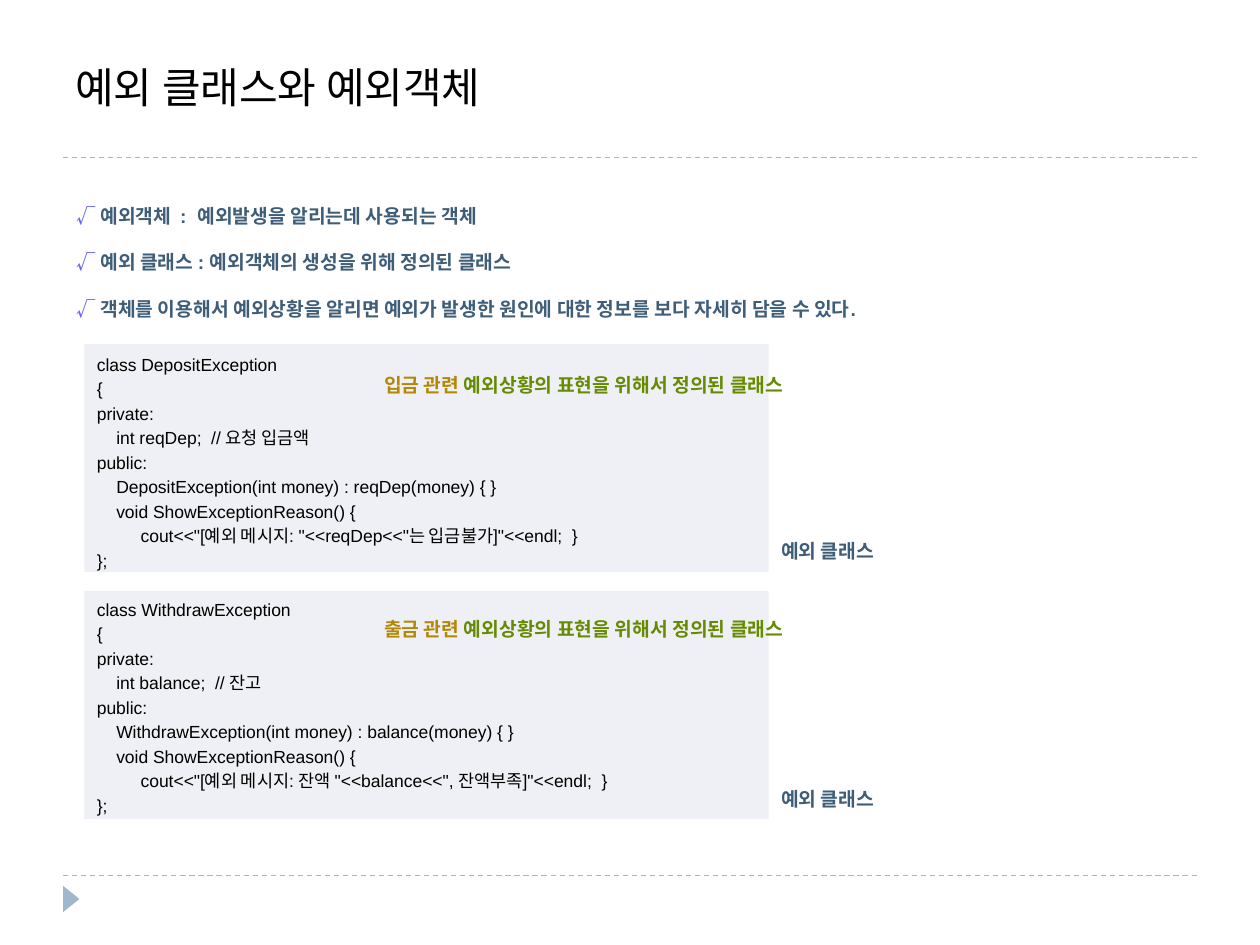
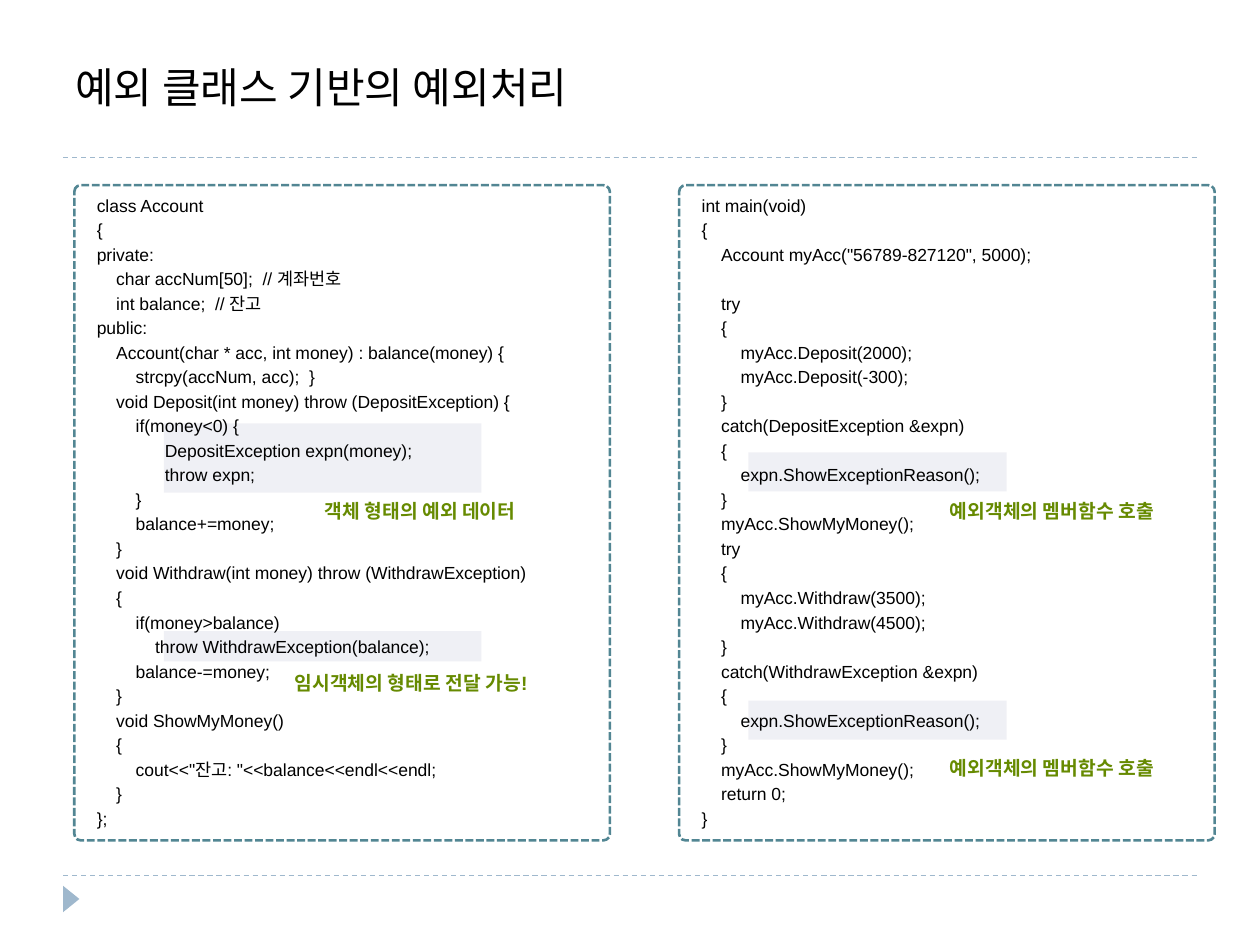
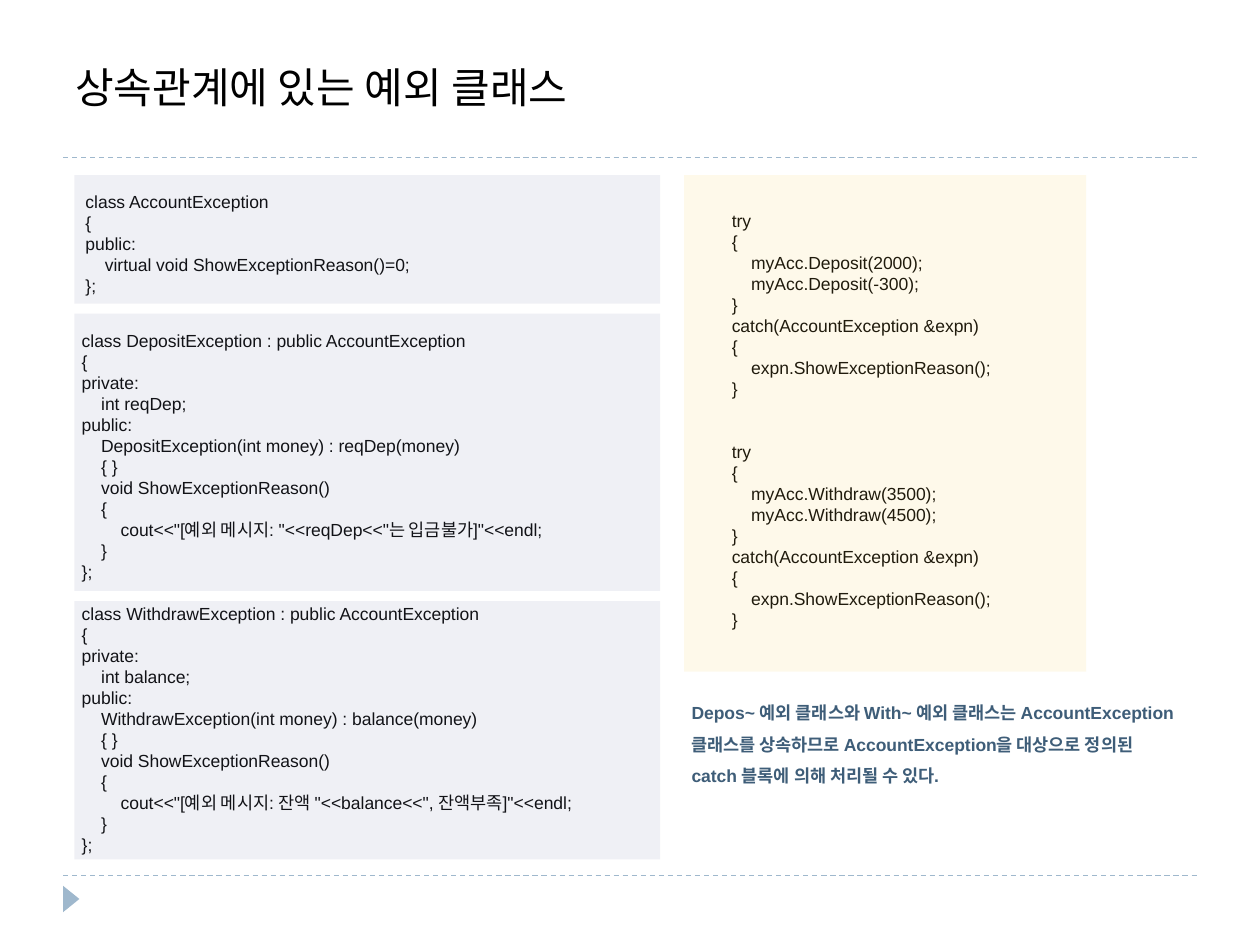
"""Build three slides on exception classes in C++."""
from lxml import etree
from pptx import Presentation
from pptx import util as u
from pptx.dml.color import RGBColor
from pptx.enum import dml, shapes, text
from pptx.oxml.ns import qn

BLACK, NAVY, GREEN, GOLD, VIOLET = "000000", "3E5D78", "668A00", "B38807", "6666FF"
RULE, FRAME, LAVENDER, CREAM = "9FB8CD", "528693", "8A91B4", "F9D263"
FONT = "Arial"
SPACE_WIDTH = 2.78

EXCEPTION_CLASSES = """\
class DepositException
{
private:
    int reqDep;  // 요청 입금액
public:
    DepositException(int money) : reqDep(money) { }
    void ShowExceptionReason() {
         cout<<"[예외 메시지: "<<reqDep<<"는 입금불가]"<<endl;  }
};

class WithdrawException
{
private:
    int balance;  // 잔고
public:
    WithdrawException(int money) : balance(money) { }
    void ShowExceptionReason() {
         cout<<"[예외 메시지: 잔액 "<<balance<<", 잔액부족]"<<endl;  }
};"""

ACCOUNT_CLASS = """\
class Account
{
private:
    char accNum[50];  // 계좌번호
    int balance;  // 잔고
public:
    Account(char * acc, int money) : balance(money) {
        strcpy(accNum, acc);  }
    void Deposit(int money) throw (DepositException) {
        if(money<0) {
              DepositException expn(money);
              throw expn;
        }
        balance+=money;
    }
    void Withdraw(int money) throw (WithdrawException)
    {
        if(money>balance)
            throw WithdrawException(balance);
        balance-=money;
    }
    void ShowMyMoney()
    {
        cout<<"잔고: "<<balance<<endl<<endl;
    }
};"""

MAIN_FUNCTION = """\
int main(void)
{
    Account myAcc("56789-827120", 5000);

    try
    {
        myAcc.Deposit(2000);
        myAcc.Deposit(-300);
    }
    catch(DepositException &expn)
    {
        expn.ShowExceptionReason();
    }
    myAcc.ShowMyMoney();
    try
    {
        myAcc.Withdraw(3500);
        myAcc.Withdraw(4500);
    }
    catch(WithdrawException &expn)
    {
        expn.ShowExceptionReason();
    }
    myAcc.ShowMyMoney();
    return 0;
}"""

BASE_CLASS = """\
class AccountException
{
public:
    virtual void ShowExceptionReason()=0;
};"""

DERIVED_CLASS = """\
class NAME : public AccountException
{
private:
    int FIELD;
public:
    NAME(int money) : FIELD(money)
    { }
    void ShowExceptionReason()
    {
        cout<<"[예외 메시지: REASON]"<<endl;
    }
};"""

TRY_BLOCK = """\
try
{
    myAcc.CALL(FIRST);
    myAcc.CALL(SECOND);
}
catch(AccountException &expn)
{
    expn.ShowExceptionReason();
}"""


def rgb(value):
    """Turn a hex string into a colour."""
    return RGBColor.from_string(value)


def fill_in(template, **values):
    """Replace each capitalised word of a code template."""
    for word, value in values.items():
        template = template.replace(word, value)
    return template


class Deck:
    """Hold the presentation, its style and the current slide."""

    def __init__(self):
        """Start an empty 4:3 presentation."""
        self.prs = Presentation()
        self.prs.slide_width, self.prs.slide_height = u.Inches(10), u.Inches(7.5)
        self.slide = None

    def page(self, title):
        """Add a slide with its title, rules and corner marker."""
        self.slide = self.prs.slides.add_slide(self.prs.slide_layouts[6])
        for y in (6.95, 1.25):
            self.rule(y)
        marker = self.shape(shapes.MSO_SHAPE.ISOSCELES_TRIANGLE, 0.46, 7.07, 0.21, 0.13)
        marker.rotation = 90
        marker.fill.solid()
        marker.fill.fore_color.rgb = rgb(RULE)
        marker.line.fill.background()
        heading = self.label(0.5, 0.17, 9, 0.77, [[(title, BLACK)]], size=24, bold=False)
        heading.vertical_anchor = text.MSO_ANCHOR.BOTTOM

    def rule(self, y):
        """Draw a dashed line across the slide."""
        rule = self.slide.shapes.add_connector(
            shapes.MSO_CONNECTOR.STRAIGHT, u.Inches(0.5), u.Inches(y), u.Inches(9.5), u.Inches(y))
        rule.line.color.rgb = rgb(RULE)
        rule.line.width = u.Pt(0.75)
        rule.line.dash_style = dml.MSO_LINE.DASH
        etree.SubElement(rule._element.spPr, qn("a:effectLst"))

    def shape(self, kind, x, y, width, height):
        """Add a preset shape without shadow."""
        shape = self.slide.shapes.add_shape(
            kind, u.Inches(x), u.Inches(y), u.Inches(width), u.Inches(height))
        shape.shadow.inherit = False
        return shape

    def tint(self, x, y, width, height, color=LAVENDER):
        """Add a see-through coloured panel."""
        panel = self.shape(shapes.MSO_SHAPE.RECTANGLE, x, y, width, height)
        panel.fill.solid()
        panel.fill.fore_color.rgb = rgb(color)
        panel.line.fill.background()
        tone = panel._element.spPr.find(qn("a:solidFill"))[0]
        etree.SubElement(tone, qn("a:alpha")).set("val", "13000")

    def frame(self, x, y, width, height):
        """Add a dashed frame with slightly rounded corners."""
        frame = self.shape(shapes.MSO_SHAPE.ROUNDED_RECTANGLE, x, y, width, height)
        frame.adjustments[0] = 0.012
        frame.fill.background()
        frame.line.color.rgb = rgb(FRAME)
        frame.line.width = u.Pt(1.5)
        frame.line.dash_style = dml.MSO_LINE.SQUARE_DOT

    def box(self, x, y, width, height):
        """Add a wrapping text box and return its text frame."""
        box = self.slide.shapes.add_textbox(
            u.Inches(x), u.Inches(y), u.Inches(width), u.Inches(height)).text_frame
        box.word_wrap = True
        return box

    def paragraph(self, box, index, size, bold, spacing):
        """Return a styled paragraph of a text frame."""
        paragraph = box.add_paragraph() if index else box.paragraphs[0]
        paragraph.font.name, paragraph.font.size, paragraph.font.bold = FONT, u.Pt(size), bold
        paragraph.line_spacing = spacing
        return paragraph

    def label(self, x, y, width, height, lines, size=11, bold=True, spacing=1.0):
        """Write lines, each a list of (words, colour) pieces."""
        box = self.box(x, y, width, height)
        for index, pieces in enumerate(lines):
            paragraph = self.paragraph(box, index, size, bold, spacing)
            for words, color in pieces:
                run = paragraph.add_run()
                run.text = words
                run.font.color.rgb = rgb(color)
        return box

    def code(self, x, y, width, height, source, pitch=14):
        """Write source code, turning indentation and empty lines into spacing."""
        box = self.box(x, y, width, height)
        index = gap = 0
        for line in source.splitlines():
            statement = line.lstrip()
            if not statement:
                gap += pitch
                continue
            paragraph = self.paragraph(box, index, 10, False, u.Pt(pitch))
            paragraph.text = statement
            paragraph.font.color.rgb = rgb(BLACK)
            paragraph.space_before = u.Pt(gap)
            indent = (len(line) - len(statement)) * SPACE_WIDTH
            properties = paragraph._p.get_or_add_pPr()
            properties.set("marL", str(int(u.Pt(indent))))
            properties.set("indent", "0")
            index, gap = index + 1, 0


def exception_classes(deck):
    """Build the slide that defines exception classes."""
    deck.page("예외 클래스와 예외객체")
    points = ("예외객체  :  예외발생을 알리는데 사용되는 객체",
              "예외 클래스 : 예외객체의 생성을 위해 정의된 클래스",
              "객체를 이용해서 예외상황을 알리면 예외가 발생한 원인에 대한 정보를 보다 자세히 담을 수 있다.")
    deck.label(0.51, 1.39, 7.64, 1.21,
               [[("√ ", VIOLET), (point, NAVY)] for point in points], spacing=2.0)
    for y in (2.73, 4.69):
        deck.tint(0.67, y, 5.43, 1.81)
    deck.code(0.67, 2.73, 5.28, 3.83, EXCEPTION_CLASSES)
    for y in (4.14, 6.11):
        deck.label(6.1, y, 1.02, 0.39, [[("예외 클래스", NAVY)]], spacing=1.5)
    for y, topic in ((2.91, "입금 관련 "), (4.85, "출금 관련 ")):
        deck.label(2.95, y, 3.86, 0.29,
                   [[(topic, GOLD), ("예외상황의 표현을 위해서 정의된 클래스", GREEN)]])


def exception_handling(deck):
    """Build the slide that throws and catches exception objects."""
    deck.page("예외 클래스 기반의 예외처리")
    for x in (0.59, 5.39):
        deck.frame(x, 1.47, 4.25, 5.2)
    for x, y, width, height in ((1.3, 3.36, 2.52, 0.55), (1.3, 5.01, 2.52, 0.24),
                                (5.94, 3.59, 2.05, 0.31), (5.94, 5.56, 2.05, 0.31)):
        deck.tint(x, y, width, height)
    deck.code(0.67, 1.47, 3.94, 5.19, ACCOUNT_CLASS)
    deck.code(5.47, 1.47, 3.39, 5.19, MAIN_FUNCTION)
    member_call = "예외객체의 멤버함수 호출"
    for x, y, remark in ((2.24, 5.28, "임시객체의 형태로 전달 가능!"),
                         (7.44, 3.91, member_call), (7.44, 5.95, member_call),
                         (2.48, 3.91, "객체 형태의 예외 데이터")):
        deck.label(x, y, 2.44, 0.29, [[(remark, GREEN)]])


def exception_inheritance(deck):
    """Build the slide on exception classes that share a base class."""
    deck.page("상속관계에 있는 예외 클래스")
    deposit = fill_in(DERIVED_CLASS, NAME="DepositException", FIELD="reqDep",
                      REASON='"<<reqDep<<"는 입금불가')
    withdraw = fill_in(DERIVED_CLASS, NAME="WithdrawException", FIELD="balance",
                       REASON='잔액 "<<balance<<", 잔액부족')
    attempts = (fill_in(TRY_BLOCK, CALL="Deposit", FIRST="2000", SECOND="-300"),
                fill_in(TRY_BLOCK, CALL="Withdraw", FIRST="3500", SECOND="4500"))
    deck.code(0.58, 1.47, 4.02, 0.94, BASE_CLASS, pitch=12)
    deck.code(0.55, 2.57, 4.61, 4.31, deposit + "\n\n" + withdraw, pitch=12)
    for y, height in ((2.49, 2.2), (4.77, 2.05), (1.39, 1.02)):
        deck.tint(0.59, y, 4.65, height)
    deck.code(5.71, 1.62, 2.76, 3.47, "\n\n\n".join(attempts), pitch=12)
    deck.tint(5.43, 1.39, 3.19, 3.94, CREAM)
    conclusion = ("Depos~ 예외 클래스와 With~ 예외 클래스는 AccountException  클래스를 상속하므로 "
                  "AccountException을 대상으로 정의된 catch 블록에 의해 처리될 수 있다.")
    deck.label(5.39, 5.44, 4.09, 0.83, [[(conclusion, NAVY)]], size=10, spacing=1.5)


def main():
    """Build all slides and save them."""
    deck = Deck()
    exception_classes(deck)
    exception_handling(deck)
    exception_inheritance(deck)
    deck.prs.save("out.pptx")


if __name__ == "__main__":
    main()
